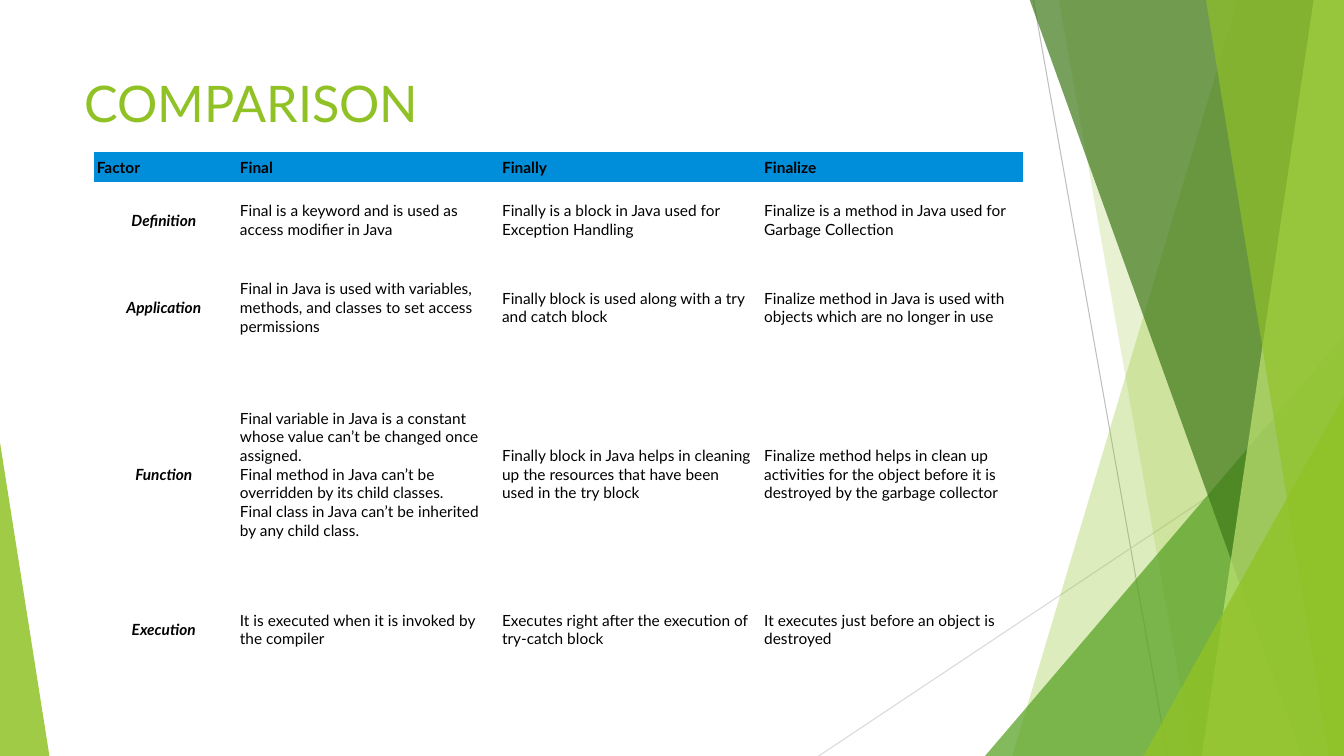
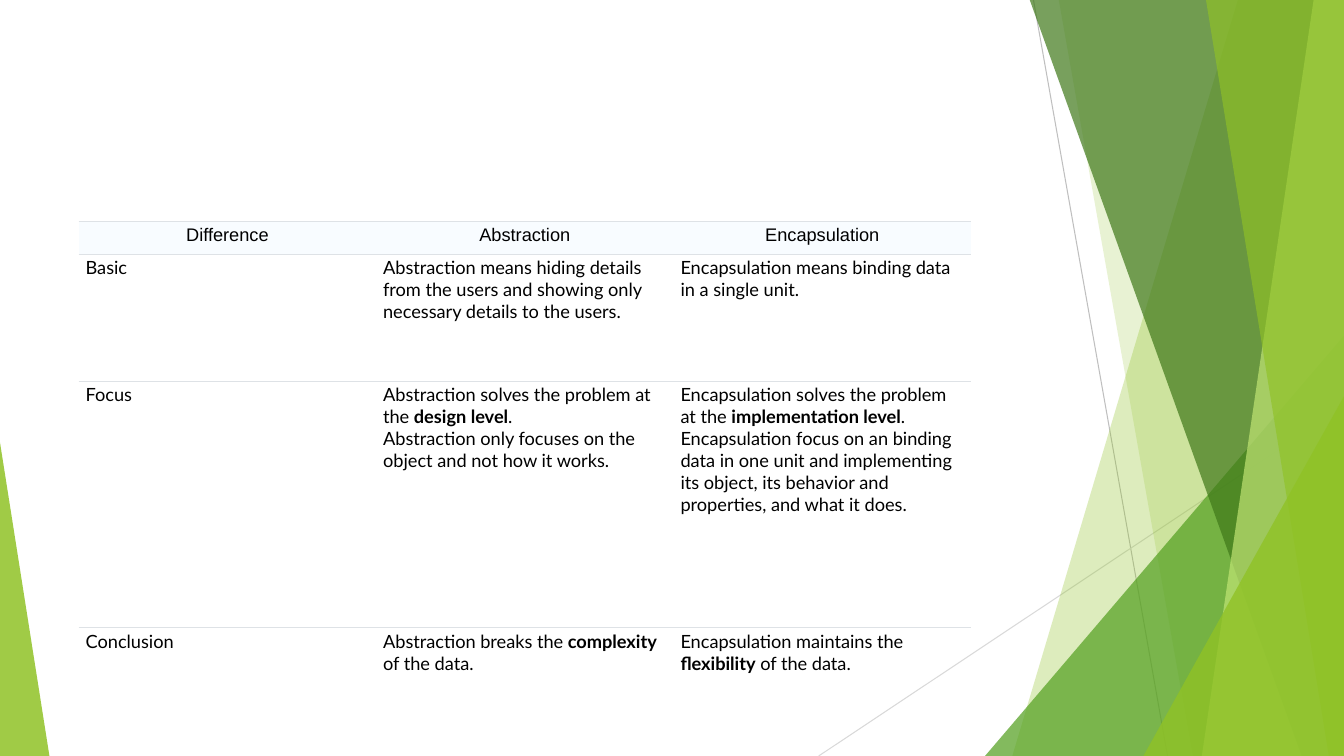
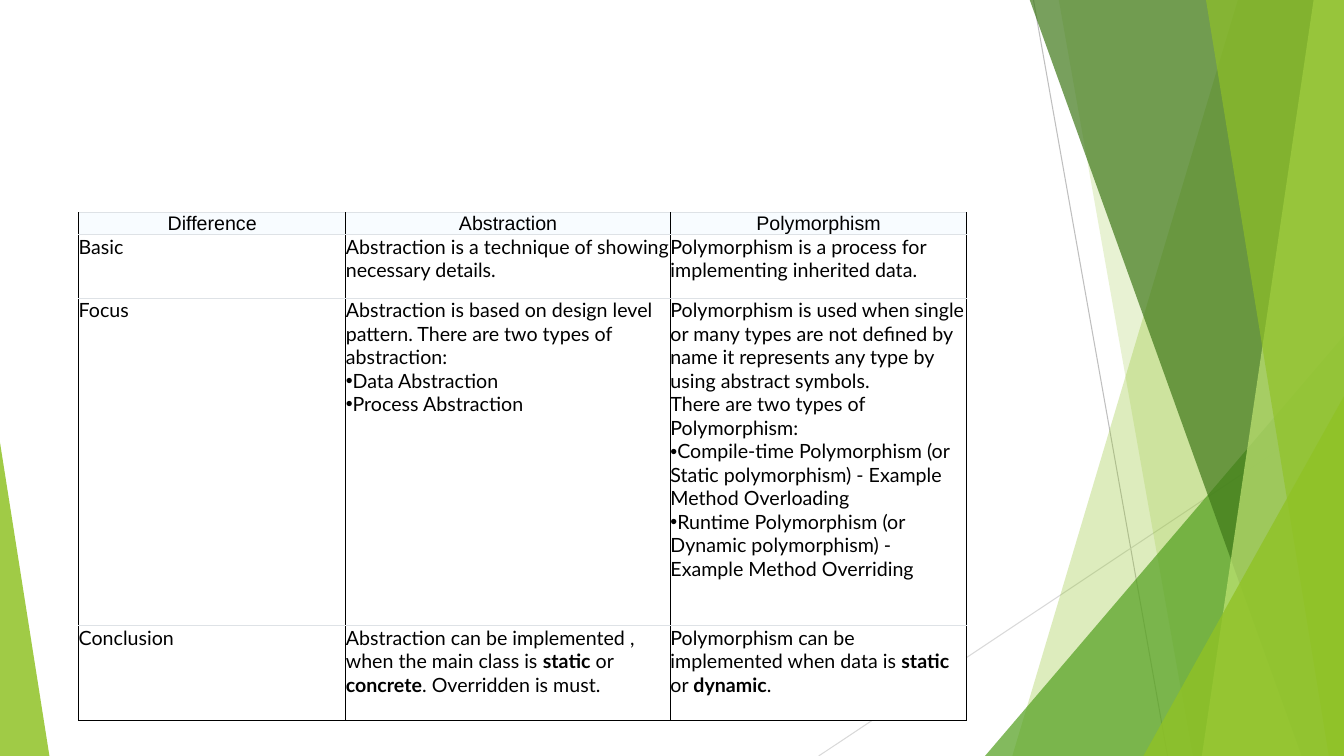
from dataclasses import dataclass, field

from lxml.etree import SubElement
from pptx import Presentation
from pptx.dml.color import RGBColor as Rgb
from pptx.enum.shapes import MSO_CONNECTOR as Connector
from pptx.enum.shapes import MSO_SHAPE as Preset
from pptx.enum.text import MSO_ANCHOR as Anchor
from pptx.enum.text import PP_ALIGN as Align
from pptx.oxml.ns import qn
from pptx.util import Inches, Pt

WIDTH, HEIGHT = 13.33, 7.5
BLEED = -0.01
COLORS = {
    "lime": "90C226",
    "green": "54A021",
    "forest": "3F7819",
    "pale": "C0E474",
    "blue": "008DD9",
    "ice": "F8FCFF",
    "white": "FFFFFF",
    "black": "000000",
    "rule": "DEE2E6",
    "gray": "BFBFBF",
    "silver": "D9D9D9",
}
NO_GRID = "{2D5ABB26-0587-4C30-8999-92F81FD0307C}"


@dataclass
class Ray:
    start: tuple[float, float]
    end: tuple[float, float]
    color: str


@dataclass
class Band:
    top: float
    bottom: float
    color: str
    opacity: int


@dataclass
class Wedge:
    left: float
    top: float
    width: float
    peak: int
    color: str
    opacity: int


@dataclass
class TextStyle:
    format: dict
    align: Align = Align.LEFT
    color: str = "black"


@dataclass
class Grid:
    left: float
    top: float
    columns: list[float]
    rows: list[float]
    header: TextStyle
    label: TextStyle
    body: TextStyle
    margins: tuple[float, float, float, float]
    cells: list[list[str]]
    header_fill: str
    body_fill: str = ""
    anchor: Anchor = Anchor.TOP
    borders: dict[str, str] = field(default_factory=dict)
    last_borders: dict[str, str] = field(default_factory=dict)


BACKDROP = [
    Ray((10.25, 0), (11.58, HEIGHT), "gray"),
    Ray((WIDTH, 4.03), (8.12, HEIGHT), "silver"),
    Band(12.28, 10.04, "lime", 30),
    Band(10.5, 11.83, "lime", 20),
    Wedge(9.77, 3.33, 3.56, 1, "green", 72),
    Band(10.21, 12.91, "forest", 70),
    Band(13.03, 11.92, "pale", 70),
    Band(11.96, 13.18, "lime", 65),
    Wedge(11.34, 3.93, 1.99, 1, "lime", 80),
    Wedge(0, 4.39, 0.49, 0, "lime", 85),
]


def rgb(color: str) -> Rgb:
    return Rgb.from_string(COLORS[color])


def paint(shape, color: str, opacity: int) -> None:
    shape.shadow.inherit = False
    shape.line.fill.background()
    shape.fill.solid()
    shape.fill.fore_color.rgb = rgb(color)
    tint = next(shape.element.iter(qn("a:srgbClr")))
    SubElement(tint, qn("a:alpha"), val=str(opacity * 1000))


def draw_ray(page, ray: Ray) -> None:
    ends = [Inches(value) for value in (*ray.start, *ray.end)]
    line = page.shapes.add_connector(Connector.STRAIGHT, *ends)
    line.line.color.rgb = rgb(ray.color)
    line.line.width = Pt(0.75)
    SubElement(line.element.spPr, qn("a:effectLst"))


def draw_band(page, band: Band) -> None:
    corners = [(band.top, BLEED), (WIDTH, BLEED), (WIDTH, HEIGHT), (band.bottom, HEIGHT)]
    points = [(Inches(x), Inches(y)) for x, y in corners]
    outline = page.shapes.build_freeform(*points[0], scale=1.0)
    outline.add_line_segments(points[1:], close=True)
    paint(outline.convert_to_shape(), band.color, band.opacity)


def draw_wedge(page, wedge: Wedge) -> None:
    frame = (wedge.left, wedge.top, wedge.width, HEIGHT - wedge.top)
    shape = page.shapes.add_shape(Preset.ISOSCELES_TRIANGLE, *map(Inches, frame))
    shape.adjustments[0] = wedge.peak
    paint(shape, wedge.color, wedge.opacity)


def build_backdrop(page, layout) -> None:
    painters = {Ray: draw_ray, Band: draw_band, Wedge: draw_wedge}
    for part in BACKDROP:
        painters[type(part)](page, part)
    for shape in list(page.shapes):
        layout.shapes.element.append(shape.element)


def add_span(para, text: str, style: TextStyle, **changes) -> None:
    span = para.add_run()
    span.text = text
    for name, value in {**style.format, **changes}.items():
        setattr(span.font, name, value)
    span.font.color.rgb = rgb(style.color)


def write(frame, text: str, style: TextStyle) -> None:
    for index, line in enumerate(text.split("\n")):
        para = frame.add_paragraph() if index else frame.paragraphs[0]
        para.alignment = style.align
        if line.startswith("•"):
            properties = para._p.get_or_add_pPr()
            SubElement(properties, qn("a:buFont"), typeface="Arial")
            SubElement(properties, qn("a:buChar"), char="•")
        for part, words in enumerate(line.lstrip("•").split("**")):
            if words:
                add_span(para, words, style, **({"bold": True} if part % 2 else {}))


def add_borders(cell, borders: dict[str, str]) -> None:
    properties = cell._tc.get_or_add_tcPr()
    for side in "LRTB":
        if side in borders:
            line = SubElement(properties, qn(f"a:ln{side}"), w=str(Pt(0.75)))
            fill = SubElement(line, qn("a:solidFill"))
            SubElement(fill, qn("a:srgbClr"), val=COLORS[borders[side]])


def draw_title(page, text: str) -> None:
    box = page.shapes.add_textbox(*map(Inches, (0.74, 0.67, 9.4, 1.44)))
    box.text_frame.word_wrap = True
    write(box.text_frame, text, TextStyle({"name": "Lato", "size": Pt(36)}, color="lime"))


def fill_cell(cell, text: str, row: int, column: int, grid: Grid) -> None:
    last = row == len(grid.rows) - 1
    add_borders(cell, grid.last_borders if last else grid.borders)
    fill = grid.body_fill if row else grid.header_fill
    if fill:
        cell.fill.solid()
        cell.fill.fore_color.rgb = rgb(fill)
    else:
        cell.fill.background()
    sides = ("margin_left", "margin_top", "margin_right", "margin_bottom")
    for side, margin in zip(sides, grid.margins):
        setattr(cell, side, Inches(margin))
    cell.vertical_anchor = grid.anchor
    style = grid.header if row == 0 else grid.body if column else grid.label
    write(cell.text_frame, text, style)


def draw_grid(page, grid: Grid) -> None:
    frame = page.shapes.add_table(
        len(grid.rows), len(grid.columns), Inches(grid.left), Inches(grid.top),
        Inches(sum(grid.columns)), Inches(sum(grid.rows)),
    )
    next(frame.element.iter(qn("a:tableStyleId"))).text = NO_GRID
    table = frame.table
    table.first_row = table.horz_banding = False
    for column, width in zip(table.columns, grid.columns):
        column.width = Inches(width)
    for row, height in zip(table.rows, grid.rows):
        row.height = Inches(height)
    for row, texts in enumerate(grid.cells):
        for column, text in enumerate(texts):
            fill_cell(table.cell(row, column), text, row, column, grid)


def lato(size: int, align: Align = Align.LEFT, **extra) -> TextStyle:
    return TextStyle({"name": "Lato", "size": Pt(size), **extra}, align)


def arial_header(size: int) -> TextStyle:
    return TextStyle({"name": "Arial", "size": Pt(size)}, Align.CENTER)


RULES = {"T": "rule", "B": "rule"}
SIDES = {"L": "black", "R": "black"}

FINAL_GRID = Grid(
    0.93, 1.51, [1.42, 2.6, 2.6, 2.6], [0.3, 0.75, 0.98, 2.33, 0.75],
    header=lato(11, bold=True),
    label=lato(11, Align.CENTER, bold=True, italic=True),
    body=lato(11),
    margins=(0.03, 0.03, 0.06, 0.03),
    header_fill="blue",
    anchor=Anchor.MIDDLE,
    cells=[
        ["Factor", "Final", "Finally", "Finalize"],
        [
            "Definition",
            "Final is a keyword and is used as access modifier in Java",
            "Finally is a block in Java used for Exception Handling",
            "Finalize is a method in Java used for Garbage Collection",
        ],
        [
            "Application",
            "Final in Java is used with variables, methods, and classes to set access permissions",
            "Finally block is used along with a try and catch block",
            "Finalize method in Java is used with objects which are no longer in use",
        ],
        [
            "Function",
            "Final variable in Java is a constant whose value can’t be changed once assigned.\n"
            "Final method in Java can’t be overridden by its child classes.\n"
            "Final class in Java can’t be inherited by any child class.",
            "Finally block in Java helps in cleaning up the resources that have been used "
            "in the try block",
            "Finalize method helps in clean up activities for the object before it is "
            "destroyed by the garbage collector",
        ],
        [
            "Execution",
            "It is executed when it is invoked by the compiler",
            "Executes right after the execution of try-catch block",
            "It executes just before an object is destroyed",
        ],
    ],
)

ENCAPSULATION_GRID = Grid(
    0.78, 2.2, [2.95] * 3, [0.32, 1.26, 2.45, 0.79],
    header=arial_header(13),
    label=lato(13),
    body=lato(13),
    margins=(0.07, 0.03, 0.07, 0.03),
    header_fill="ice",
    borders=RULES,
    last_borders={"T": "rule"},
    cells=[
        ["Difference", "Abstraction", "Encapsulation"],
        [
            "Basic",
            "Abstraction means hiding details from the users and showing only necessary "
            "details to the users.",
            "Encapsulation means binding data in a single unit.",
        ],
        [
            "Focus",
            "Abstraction solves the problem at the **design level**.\n"
            "Abstraction only focuses on the object and not how it works.",
            "Encapsulation solves the problem at the **implementation level**.\n"
            "Encapsulation focus on an binding data in one unit and implementing its object, "
            "its behavior and properties, and what it does.",
        ],
        [
            "Conclusion",
            "Abstraction breaks the **complexity** of the data.",
            "Encapsulation maintains the **flexibility** of the data.",
        ],
    ],
)

POLYMORPHISM_GRID = Grid(
    0.78, 2.11, [2.65, 3.22, 2.94], [0.17, 0.63, 3.25, 0.94],
    header=arial_header(14),
    label=lato(14),
    body=lato(14),
    margins=(0, 0, 0, 0),
    header_fill="ice",
    body_fill="white",
    borders={**SIDES, **RULES},
    last_borders={**SIDES, "T": "rule", "B": "black"},
    cells=[
        ["Difference", "Abstraction", "Polymorphism"],
        [
            "Basic",
            "Abstraction is a technique of showing necessary details.",
            "Polymorphism is a process for implementing inherited data.",
        ],
        [
            "Focus",
            "Abstraction is based on design level pattern. There are two types of abstraction:\n"
            "•Data Abstraction\n"
            "•Process Abstraction",
            "Polymorphism is used when single or many types are not defined by name it "
            "represents any type by using abstract symbols.\n"
            "There are two types of Polymorphism:\n"
            "•Compile-time Polymorphism (or Static polymorphism) - Example Method Overloading\n"
            "•Runtime Polymorphism (or Dynamic polymorphism) - Example Method Overriding",
        ],
        [
            "Conclusion",
            "Abstraction can be implemented , when the main class is **static** or "
            "**concrete**. Overridden is must.",
            "Polymorphism can be implemented when data is **static** or **dynamic**.",
        ],
    ],
)


def main() -> None:
    deck = Presentation()
    deck.slide_width, deck.slide_height = Inches(WIDTH), Inches(HEIGHT)
    blank = deck.slide_layouts[6]
    grids = [FINAL_GRID, ENCAPSULATION_GRID, POLYMORPHISM_GRID]
    pages = [deck.slides.add_slide(blank) for _ in grids]
    build_backdrop(pages[0], blank)
    draw_title(pages[0], "COMPARISON")
    for page, grid in zip(pages, grids):
        draw_grid(page, grid)
    deck.save("out.pptx")


if __name__ == "__main__":
    main()
